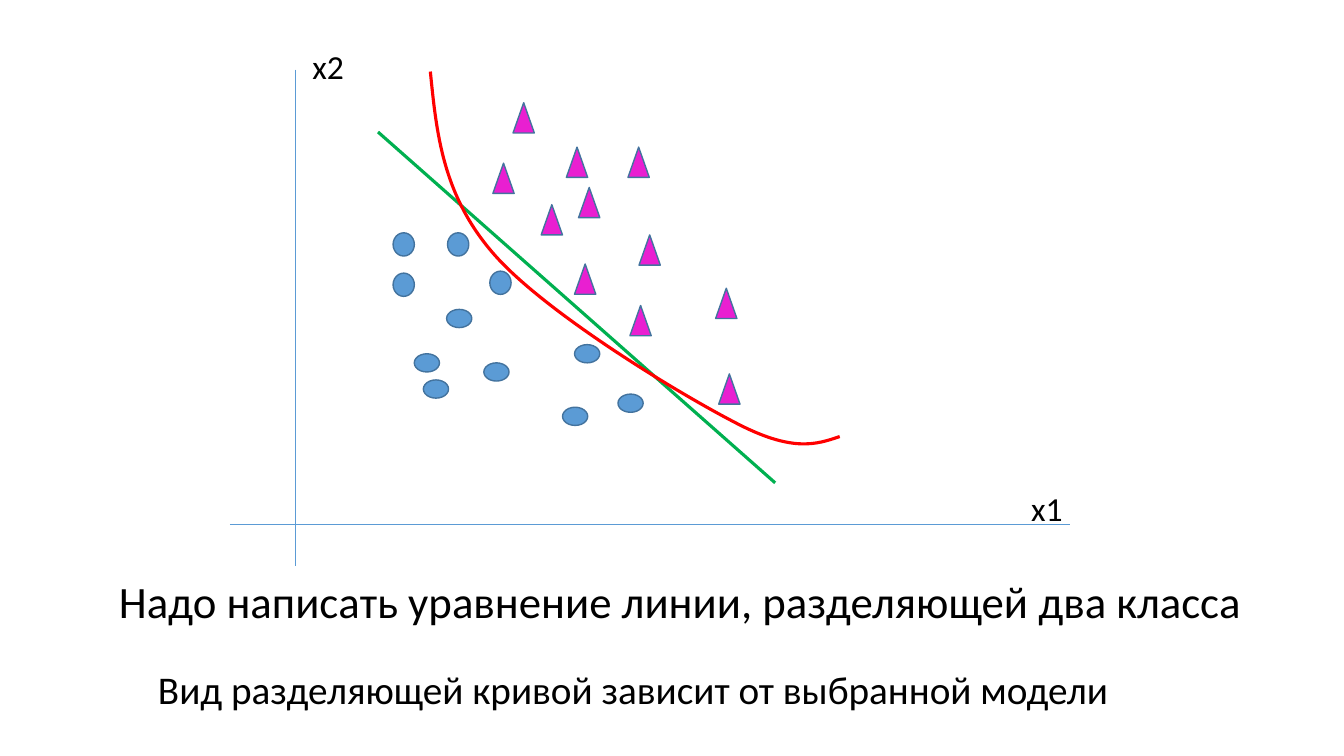
import pptx
import pptx.dml.color
import pptx.enum.shapes
import pptx.enum.text
import pptx.oxml.ns
import pptx.util
from lxml import etree

Pt = pptx.util.Pt
qn = pptx.oxml.ns.qn
shape_types = pptx.enum.shapes.MSO_SHAPE


def color(hex_string):
    return pptx.dml.color.RGBColor.from_string(hex_string)


def style_line(shape, hex_string, width):
    shape.line.color.rgb = color(hex_string)
    shape.line.width = Pt(width)


deck = pptx.Presentation()
deck.slide_width = Pt(960)
deck.slide_height = Pt(540)
slide = deck.slides.add_slide(deck.slide_layouts[6])
shapes = slide.shapes

# Axes and the straight separating line
straight_lines = [
    (211, 49.7, 211, 404.6, "5B9BD5", 0.5),
    (164.2, 374.4, 764.6, 374.4, "5B9BD5", 0.5),
    (270, 94.3, 553.7, 344.9, "00B050", 2.25),
]
for x1, y1, x2, y2, line_color, width in straight_lines:
    line = shapes.add_connector(
        pptx.enum.shapes.MSO_CONNECTOR.STRAIGHT, Pt(x1), Pt(y1), Pt(x2), Pt(y2))
    style_line(line, line_color, width)
    etree.SubElement(line.element.spPr, qn("a:effectLst"))

# Two classes of points: marker, size, fill, top-left corners
round_dots = [(280.8, 195.1), (280.8, 166.3), (319.7, 166.3), (349.9, 193.7)]
flat_dots = [
    (319, 221), (345.6, 259.2), (302.4, 271.4), (295.9, 252.7),
    (410.4, 246.2), (401.8, 290.9), (441.4, 281.5),
]
triangles = [
    (448.6, 105.1), (404.6, 105.1), (366.5, 73.4), (352.1, 116.6),
    (413.3, 133.9), (410.4, 188.6), (456.5, 167.8), (450, 218.2),
    (386.6, 146.2), (511.2, 205.9), (513.4, 267.1),
]
marker_groups = [
    (shape_types.OVAL, 15.2, 16.6, "5B9BD5", round_dots),
    (shape_types.OVAL, 18, 13, "5B9BD5", flat_dots),
    (shape_types.ISOSCELES_TRIANGLE, 15.2, 21.6, "E91FD1", triangles),
]
for marker_type, width, height, fill_color, corners in marker_groups:
    for left, top in corners:
        marker = shapes.add_shape(marker_type, Pt(left), Pt(top), Pt(width), Pt(height))
        marker.shadow.inherit = False
        marker.fill.solid()
        marker.fill.fore_color.rgb = color(fill_color)
        style_line(marker, "43739E", 1)

# Curved separating line: a start point, then three points per Bezier segment
curve_points = [
    (307.4, 51.1),
    (311.8, 95), (316.1, 139), (352.1, 180.7),
    (388.1, 222.5), (483.1, 280.1), (524.9, 301.7),
    (565.9, 323.3), (583.2, 317.5), (599.8, 311.8),
]
curve_points = [(Pt(x), Pt(y)) for x, y in curve_points]
builder = shapes.build_freeform(*curve_points[0])
builder.add_line_segments(curve_points[1:], close=False)
curve = builder.convert_to_shape()
curve.shadow.inherit = False
curve.fill.background()
style_line(curve, "FF0000", 2.25)
segments = list(curve.element.iter(qn("a:lnTo")))
for first in range(0, len(segments), 3):
    bezier = etree.SubElement(segments[first].getparent(), qn("a:cubicBezTo"))
    for segment in segments[first:first + 3]:
        bezier.append(segment[0])
        segment.getparent().remove(segment)

# Captions and axis labels
texts = [
    ("Надо написать уравнение линии, разделяющей два класса", 77.8, 406.1, 831.6, 46.1, 32, False),
    ("Вид разделяющей кривой зависит от выбранной модели", 105.8, 471.6, 700.6, 41, 28, False),
    ("x1", 729.4, 344.9, 64.8, 36, 24, True),
    ("x2", 216, 29.5, 64.8, 36, 24, True),
]
for text, left, top, width, height, size, wrap in texts:
    box = shapes.add_textbox(Pt(left), Pt(top), Pt(width), Pt(height))
    box.text_frame.word_wrap = wrap
    box.text_frame.auto_size = pptx.enum.text.MSO_AUTO_SIZE.SHAPE_TO_FIT_TEXT
    para = box.text_frame.paragraphs[0]
    para.text = text
    para.font.name = "Calibri"
    para.font.size = Pt(size)
    para.font.color.rgb = color("000000")

deck.save("out.pptx")
